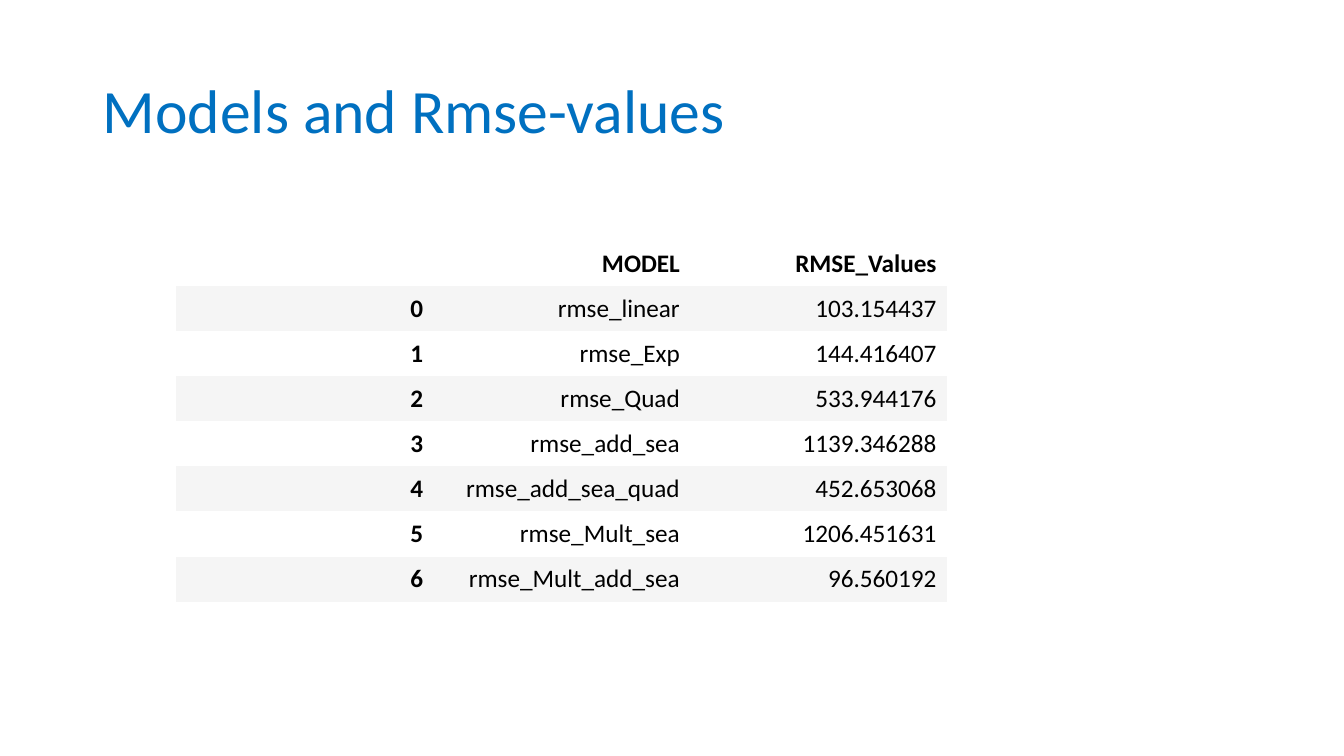
import pptx
import pptx.dml.color
import pptx.enum.text
import pptx.util

Inches = pptx.util.Inches
RGBColor = pptx.dml.color.RGBColor
PP_ALIGN = pptx.enum.text.PP_ALIGN
MSO_ANCHOR = pptx.enum.text.MSO_ANCHOR

BLUE = RGBColor(0x00, 0x70, 0xC0)
BLACK = RGBColor(0x00, 0x00, 0x00)
WHITE = RGBColor(0xFF, 0xFF, 0xFF)
GRAY = RGBColor(0xF5, 0xF5, 0xF5)
FONT = "Calibri"
NO_GRID_STYLE = "{2D5ABB26-0587-4C30-8999-92F81FD0307C}"

HEADERS = ("", "MODEL", "RMSE_Values")
SCORES = (
    ("rmse_linear", "103.154437"),
    ("rmse_Exp", "144.416407"),
    ("rmse_Quad", "533.944176"),
    ("rmse_add_sea", "1139.346288"),
    ("rmse_add_sea_quad", "452.653068"),
    ("rmse_Mult_sea", "1206.451631"),
    ("rmse_Mult_add_sea", "96.560192"),
)


def set_text(tf, text, size=18, color=BLACK, bold=False, align=PP_ALIGN.LEFT, spacing=1.0):
    """Write one formatted paragraph into a text frame."""
    p = tf.paragraphs[0]
    p.alignment = align
    p.line_spacing = spacing
    r = p.add_run()
    r.text = text
    r.font.name = FONT
    r.font.size = pptx.util.Pt(size)
    r.font.bold = bold
    r.font.color.rgb = color


def add_title(s, text, left, top, width, height):
    """Place and format the slide title."""
    sp = s.shapes.title
    sp.left, sp.top = Inches(left), Inches(top)
    sp.width, sp.height = Inches(width), Inches(height)
    sp.text_frame.vertical_anchor = MSO_ANCHOR.MIDDLE
    set_text(sp.text_frame, text, size=44, color=BLUE, spacing=0.9)


def add_score_table(s, left, top, width, height):
    """Add the table of models and their RMSE values."""
    rows = [HEADERS] + [(str(i), *score) for i, score in enumerate(SCORES)]
    frame = s.shapes.add_table(len(rows), len(HEADERS), Inches(left), Inches(top),
                               Inches(width), Inches(height))
    style = frame.element.find(".//" + pptx.oxml.ns.qn("a:tableStyleId"))
    style.text = NO_GRID_STYLE
    for i, row in enumerate(rows):
        for j, text in enumerate(row):
            cell = frame.table.cell(i, j)
            cell.fill.solid()
            cell.fill.fore_color.rgb = GRAY if i % 2 else WHITE
            cell.vertical_anchor = MSO_ANCHOR.MIDDLE
            if text:
                set_text(cell.text_frame, text, bold=i == 0 or j == 0, align=PP_ALIGN.RIGHT)


def build():
    """Build and save the presentation."""
    prs = pptx.Presentation()
    prs.slide_width, prs.slide_height = Inches(13.33), Inches(7.5)
    s = prs.slides.add_slide(prs.slide_layouts[5])
    add_title(s, "Models and Rmse-values", 0.92, 0.4, 11.5, 1.45)
    add_score_table(s, 1.75, 2.39, 7.64, 3.58)
    prs.save("out.pptx")


build()
